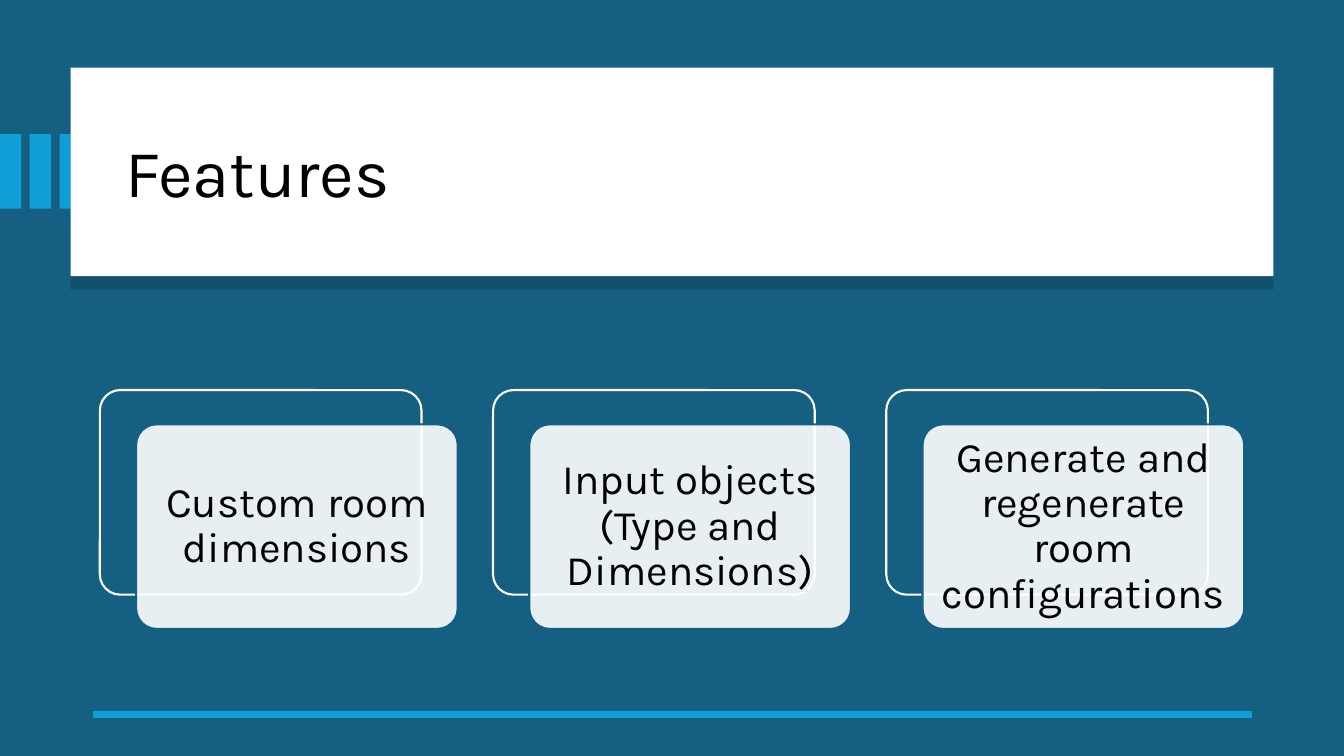
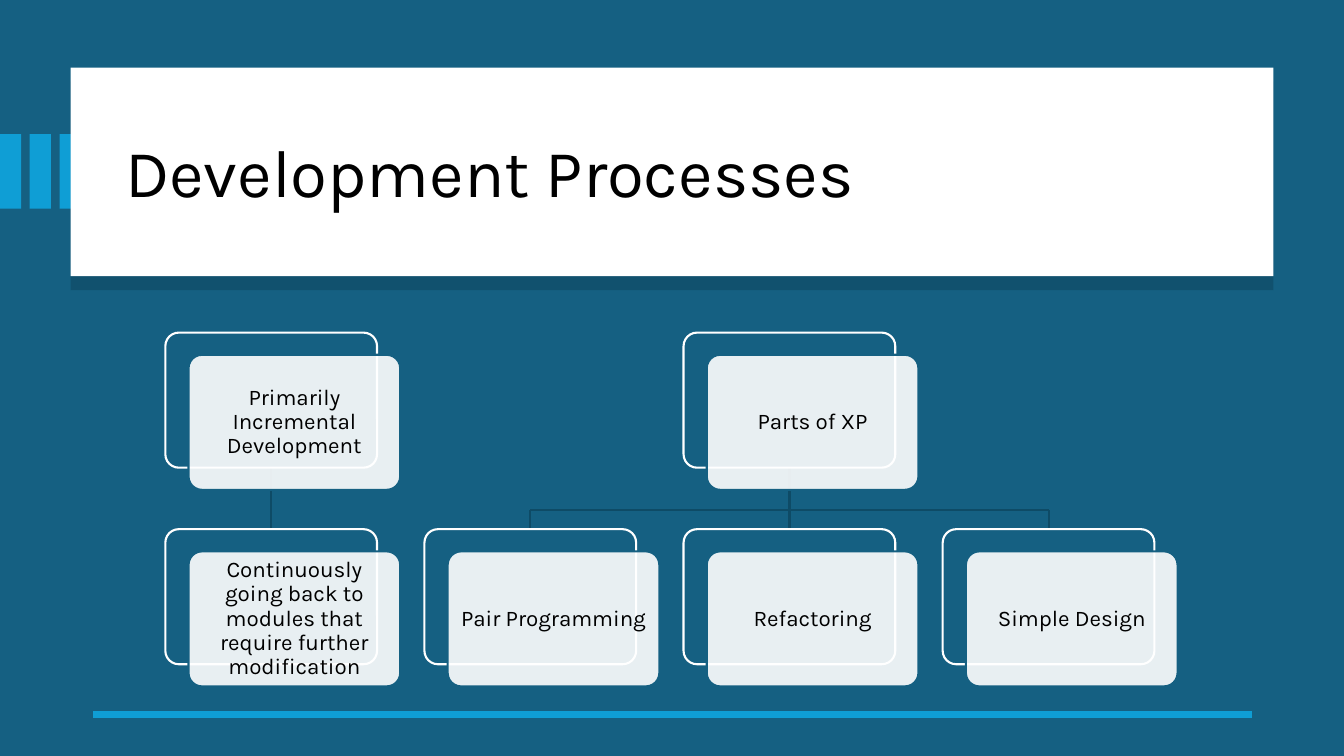
from dataclasses import dataclass

from lxml import etree
from pptx import Presentation
from pptx.dml.color import RGBColor
from pptx.enum.shapes import MSO_CONNECTOR, MSO_SHAPE
from pptx.enum.text import MSO_ANCHOR, MSO_AUTO_SIZE, PP_ALIGN
from pptx.oxml.ns import qn
from pptx.util import Inches, Pt

RECT, ROUND = MSO_SHAPE.RECTANGLE, MSO_SHAPE.ROUNDED_RECTANGLE
STRAIGHT = MSO_CONNECTOR.STRAIGHT
MIDDLE, NO_FIT = MSO_ANCHOR.MIDDLE, MSO_AUTO_SIZE.NONE
LEFT, CENTER = PP_ALIGN.LEFT, PP_ALIGN.CENTER

FONT = "Karla"
TEAL, BLUE, NAVY = "156082", "0F9ED5", "0E4B66"
WHITE, BLACK = "FFFFFF", "000000"


@dataclass(frozen=True)
class Style:
    """Size and text format shared by a set of cards (inches, points)."""
    wide: float
    high: float
    dx: float
    dy: float
    size: int
    inset: float
    after: int


@dataclass(frozen=True)
class Card:
    text: str
    x: float
    y: float


LARGE = Style(3.19, 2.03, 0.36, 0.34, 30, 0.12, 13)
SMALL = Style(2.1, 1.34, 0.23, 0.22, 16, 0.07, 7)


def color(code: str) -> RGBColor:
    return RGBColor.from_string(code)


def apply(item, form: dict) -> None:
    for key, value in form.items():
        setattr(item, key, value)


def paint(shape, fill: str, line: str = "") -> None:
    shape.shadow.inherit = False
    shape.fill.solid()
    shape.fill.fore_color.rgb = color(fill)
    if line:
        shape.line.color.rgb = color(line)
        shape.line.width = Pt(1.5)
    else:
        shape.line.fill.background()


def add_box(slide, kind, x: float, y: float, wide: float, high: float,
            fill: str, line: str = ""):
    shape = slide.shapes.add_shape(
        kind, Inches(x), Inches(y), Inches(wide), Inches(high))
    paint(shape, fill, line)
    return shape


def add_line(slide, x1: float, y1: float, x2: float, y2: float,
             code: str, width: float) -> None:
    line = slide.shapes.add_connector(
        STRAIGHT, Inches(x1), Inches(y1), Inches(x2), Inches(y2))
    line.line.color.rgb = color(code)
    line.line.width = Pt(width)
    etree.SubElement(line._element.spPr, qn("a:effectLst"))


def write(shape, text: str, size: int, align, inset: float = 0.1,
          after: int = 0) -> None:
    frame = shape.text_frame
    frame.text = text
    pad = Inches(inset)
    apply(frame, {"word_wrap": True, "auto_size": NO_FIT,
                  "vertical_anchor": MIDDLE, "margin_left": pad,
                  "margin_right": pad, "margin_top": pad,
                  "margin_bottom": pad})
    para = frame.paragraphs[0]
    apply(para, {"alignment": align, "line_spacing": 0.9,
                 "space_before": Pt(0), "space_after": Pt(after)})
    apply(para.font, {"name": FONT, "size": Pt(size)})
    para.font.color.rgb = color(BLACK)


def set_alpha(node, share: int) -> None:
    etree.SubElement(node, qn("a:alpha"), val=str(share * 1000))


def drop_shade(shape) -> None:
    """Hard shadow straight below the shape."""
    effects = shape._element.spPr.find(qn("a:effectLst"))
    shade = etree.SubElement(effects, qn("a:outerShdw"), blurRad="0",
                             dist=str(Pt(10)), dir="5400000",
                             algn="t", rotWithShape="0")
    set_alpha(etree.SubElement(shade, qn("a:srgbClr"), val=BLACK), 15)


def add_slide(deck, title: str):
    """Slide with background, side bars, title panel and bottom rule."""
    slide = deck.slides.add_slide(deck.slide_layouts[5])
    slide.background.fill.solid()
    slide.background.fill.fore_color.rgb = color(TEAL)
    for i in range(3):
        add_box(slide, RECT, i * 0.295, 1.33, 0.21, 0.74, BLUE)
    drop_shade(add_box(slide, RECT, 0.7, 0.67, 11.93, 2.07, WHITE))

    # Title goes in front of its panel
    head = slide.shapes.title
    apply(head, {"left": Inches(1.14), "top": Inches(0.89),
                 "width": Inches(11.13), "height": Inches(1.7)})
    write(head, title, 48, LEFT)
    slide.shapes._spTree.append(head._element)

    add_line(slide, 12.42, 7.09, 0.92, 7.09, BLUE, 4.5)
    return slide


def add_card(slide, card: Card, style: Style) -> None:
    """Outlined back plate with a translucent text plate in front."""
    size = style.wide, style.high
    back = add_box(slide, ROUND, card.x, card.y, *size, TEAL, WHITE)
    front = add_box(slide, ROUND, card.x + style.dx, card.y + style.dy,
                    *size, WHITE, TEAL)
    for plate in (back, front):
        plate.adjustments[0] = 0.1
    fill = front._element.spPr.find(qn("a:solidFill"))
    set_alpha(fill[0], 90)
    write(front, card.text, style.size, CENTER, style.inset, style.after)


def add_features(deck) -> None:
    slide = add_slide(deck, "Features")
    names = ("Custom room dimensions",
             "Input objects (Type and Dimensions)",
             "Generate and regenerate room configurations")
    for i, name in enumerate(names):
        add_card(slide, Card(name, 0.99 + i * 3.9, 3.87), LARGE)


def add_process(deck) -> None:
    slide = add_slide(deck, "Development Processes")
    cols = [1.64 + i * 2.57 for i in range(4)]
    top, low, bus = 3.3, 5.25, 5.06
    mids = [x + SMALL.wide / 2 for x in cols]

    # Tree lines, behind the cards
    for i in (0, 2):
        add_line(slide, mids[i], top + SMALL.high, mids[i], low, NAVY, 1.5)
    add_line(slide, mids[1], bus, mids[3], bus, NAVY, 1.5)
    for i in (1, 3):
        add_line(slide, mids[i], bus, mids[i], low, NAVY, 1.5)

    # Parents, then children
    cards = [Card("Primarily Incremental Development", cols[0], top),
             Card("Parts of XP", cols[2], top)]
    names = ("Continuously going back to modules that require "
             "further modification",
             "Pair Programming", "Refactoring", "Simple Design")
    cards += [Card(name, x, low) for name, x in zip(names, cols)]
    for card in cards:
        add_card(slide, card, SMALL)


def main() -> None:
    deck = Presentation()
    apply(deck, {"slide_width": Inches(13.33), "slide_height": Inches(7.5)})
    add_features(deck)
    add_process(deck)
    deck.save("out.pptx")


if __name__ == "__main__":
    main()
